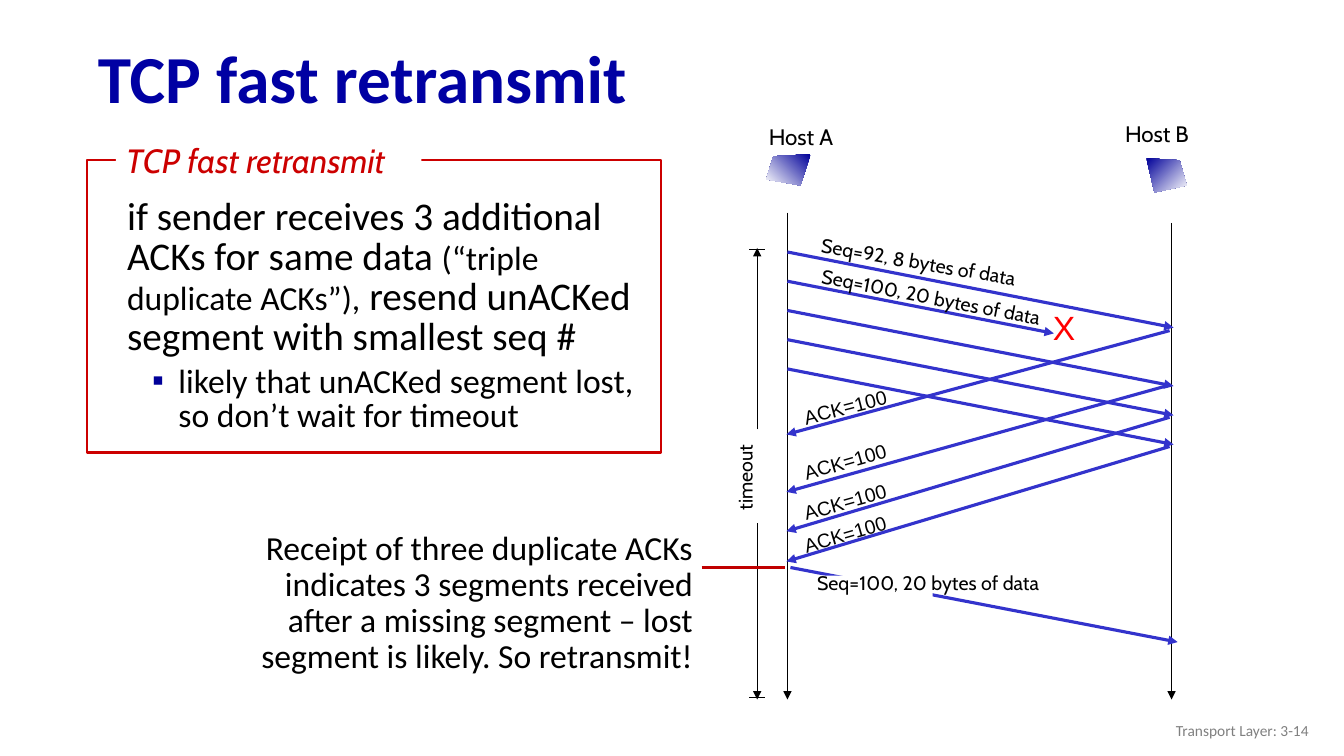
import pptx
import pptx.util
import pptx.dml.color
import pptx.enum.dml
import pptx.enum.shapes
import pptx.enum.text
from lxml import etree

Inches, Pt = pptx.util.Inches, pptx.util.Pt
ALIGN = pptx.enum.text.PP_ALIGN
ANCHOR = pptx.enum.text.MSO_ANCHOR
RECTANGLE = pptx.enum.shapes.MSO_SHAPE.RECTANGLE
STRAIGHT = pptx.enum.shapes.MSO_CONNECTOR.STRAIGHT

# Content
COLORS = {"title": "0000A3", "ink": "000000", "segment": "3333CC", "lost": "FF0000",
          "frame": "CC0000", "pointer": "C00000", "host": "000099", "paper": "FFFFFF",
          "footer": "808080"}
TITLE = "TCP fast retransmit"
RULE = [("if sender receives 3 additional ACKs for same data ", 28),
        ("(“triple duplicate ACKs”),", 24),
        (" resend unACKed segment with smallest seq #", 28)]
REMARK = "likely that unACKed segment lost, so don’t wait for timeout"
RECEIPT = ("Receipt of three duplicate ACKs indicates 3 segments received after a "
           "missing segment – lost segment is likely. So retransmit!")
FOOTER = "Transport Layer: 3-14"
RESENT = "Seq=100, 20 bytes of data"

# Time runs down between two host lines, in inches
HOST_A, HOST_B, TIMER = 7.81, 11.62, 7.51
TIME_END = 6.94
FIRST_SEND, SEND_GAP, SEND_DROP = 2.5, 0.29, 0.75
SENDS, LOST_SEND = 5, 1
LOST_SHARE = 0.69
ACK_TEXT = "ACK=100"
# sent at B, received at A, label top, label rotation
ACKS = [(3.28, 4.31, 3.87, -14.4), (3.82, 4.88, 4.41, -16.1),
        (4.14, 5.27, 4.81, -15.7), (4.43, 5.57, 5.13, -16.2)]
# text, box, rotation
SEND_LABELS = [("Seq=92, 8 bytes of data", (7.95, 2.43, 2.32, 0.34), 9.7),
               ("Seq=100, 20 bytes of data", (7.97, 2.78, 2.53, 0.34), 11.1)]
# name, label box, outline of the marker, gradient angle
HOSTS = [("Host A", (7.36, 1.17, 1.17, 0.43),
          [(8.04, 1.53), (7.67, 1.55), (7.6, 1.78), (7.94, 1.84)], 225),
         ("Host B", (10.89, 1.14, 1.17, 0.43),
          [(11.37, 1.57), (11.7, 1.59), (11.77, 1.84), (11.45, 1.91)], 315)]

deck = pptx.Presentation()
deck.slide_width, deck.slide_height = Inches(13.33), Inches(7.5)
slide = deck.slides.add_slide(deck.slide_layouts[1])
shapes = slide.shapes


def rgb(name):
    return pptx.dml.color.RGBColor.from_string(COLORS[name])


def place(item, box):
    item.left, item.top, item.width, item.height = map(Inches, box)


def style(paragraph, face, size, color="ink", align=ALIGN.LEFT, spacing=None):
    paragraph.alignment = align
    if spacing:
        paragraph.line_spacing = spacing
    font = paragraph.font
    font.name, font.color.rgb = face, rgb(color)
    if size:
        font.size = Pt(size)
    return font


def label(text, box, face, size, color="ink", align=ALIGN.CENTER, spacing=None,
          rotation=0, wrap=False):
    item = shapes.add_textbox(*map(Inches, box))
    item.rotation = rotation
    item.text_frame.word_wrap = wrap
    item.text_frame.text = text
    style(item.text_frame.paragraphs[0], face, size, color, align, spacing)
    return item


def line(start, end, color="ink", width=0.75, arrow=True):
    item = shapes.add_connector(STRAIGHT, *map(Inches, start + end))
    item.line.color.rgb, item.line.width = rgb(color), Pt(width)
    if arrow:
        etree.SubElement(item.line._get_or_add_ln(), pptx.oxml.ns.qn("a:tailEnd"),
                         type="triangle")
    etree.SubElement(item._element.spPr, pptx.oxml.ns.qn("a:effectLst"))


def rectangle(box, fill=None, border=None):
    item = shapes.add_shape(RECTANGLE, *map(Inches, box))
    item.shadow.inherit = False
    if fill:
        item.fill.solid()
        item.fill.fore_color.rgb = rgb(fill)
    else:
        item.fill.background()
    if border:
        item.line.color.rgb, item.line.width = rgb(border), Pt(1.5)
    else:
        item.line.fill.background()
    return item


# Title
title = shapes.title
place(title, (0.87, 0.32, 12.46, 0.98))
title.text_frame.text = TITLE
title.text_frame.vertical_anchor = ANCHOR.MIDDLE
style(title.text_frame.paragraphs[0], "Calibri", 48, "title", spacing=0.9).bold = True

# Framed rule
rule = slide.placeholders[1]
place(rule, (1.16, 1.92, 5.26, 2.48))
rule.text_frame.auto_size = pptx.enum.text.MSO_AUTO_SIZE.NONE
statement = rule.text_frame.paragraphs[0]
for text, size in RULE:
    run = statement.add_run()
    run.text, run.font.size = text, Pt(size)
remark = rule.text_frame.add_paragraph()
remark.text, remark.level = REMARK, 1
for paragraph, margin, indent in ((statement, 0, 0), (remark, 0.51, -0.26)):
    props = paragraph._p.get_or_add_pPr()
    props.set("marL", str(Inches(margin)))
    props.set("indent", str(Inches(indent)))
    if paragraph is statement:
        etree.SubElement(props, pptx.oxml.ns.qn("a:buNone"))
    else:
        bullet_color = etree.SubElement(props, pptx.oxml.ns.qn("a:buClr"))
        etree.SubElement(bullet_color, pptx.oxml.ns.qn("a:srgbClr"), val=COLORS["host"])
        etree.SubElement(props, pptx.oxml.ns.qn("a:buFont"), typeface="Arial")
        etree.SubElement(props, pptx.oxml.ns.qn("a:buChar"), char="▪")
statement.space_before, remark.space_before = Pt(0), Pt(5)
style(statement, "Calibri", None, spacing=0.85)
style(remark, "Calibri", 24, spacing=0.85)

rectangle((0.86, 1.59, 5.7, 2.9), border="frame")
caption = rectangle((1.15, 1.34, 3.03, 0.5), fill="paper")
caption.text_frame.text = TITLE
caption.text_frame.word_wrap = False
caption.text_frame.vertical_anchor = ANCHOR.TOP
style(caption.text_frame.paragraphs[0], "Cabin", 24, "frame").italic = True

# Hosts and their time lines
for name, box, outline, angle in HOSTS:
    label(name, box, "Cabin", 16)
    points = [(Inches(x), Inches(y)) for x, y in outline]
    builder = shapes.build_freeform(*points[0])
    builder.add_line_segments(points[1:], close=True)
    marker = builder.convert_to_shape()
    marker.shadow.inherit = False
    marker.line.fill.background()
    marker.fill.gradient()
    marker.fill.gradient_angle = angle
    for stop, color in zip(marker.fill.gradient_stops, ("host", "paper")):
        stop.color.rgb = rgb(color)
line((HOST_A, 2.11), (HOST_A, TIME_END))
line((HOST_B, 2.21), (HOST_B, TIME_END))

# Timeout span
for start, end, bar in ((4.26, 2.46, 2.48), (5.19, TIME_END, 6.92)):
    line((TIMER, start), (TIMER, end))
    line((TIMER - 0.08, bar), (TIMER + 0.08, bar), arrow=False)
timeout = label("timeout", (7.22, 4.3, 0.6, 0.87), "Cabin", 14)
timeout.text_frame._txBody.bodyPr.set("vert", "vert270")

# Acknowledgements
for sent, received, top, rotation in ACKS:
    line((HOST_B - 0.02, sent), (HOST_A - 0.01, received), "segment", 2.25)
    label(ACK_TEXT, (7.67, top, 1.44, 0.39), "Arial", 14, rotation=rotation)

# Segments
for number in range(SENDS):
    share = LOST_SHARE if number == LOST_SEND else 1
    top = FIRST_SEND + number * SEND_GAP
    reach = (HOST_B + 0.02 - HOST_A) * share
    line((HOST_A, top), (HOST_A + reach, top + SEND_DROP * share), "segment", 2.25)
label("X", (10.34, 3, 0.43, 0.58), "Arial", 24, "lost", wrap=True)
for text, box, rotation in SEND_LABELS:
    label(text, box, "Cabin", 14, rotation=rotation, wrap=True)

# Retransmission
line((HOST_A + 0.03, 5.63), (HOST_B + 0.06, 6.37), "segment", 2.25)
rectangle((8.1, 5.71, 1.15, 0.29), fill="paper")
label(RESENT, (7.48, 5.61, 3.45, 0.39), "Cabin", 14)
label(RECEIPT, (2.44, 5.22, 4.53, 1.56), "Calibri", 24, align=ALIGN.RIGHT,
      spacing=0.9, wrap=True)
line((6.96, 5.63), (7.79, 5.63), "pointer", 1.75, arrow=False)

# Footer
footer = label(FOOTER, (10.08, 7.05, 3, 0.4), "Calibri", 11, "footer", ALIGN.RIGHT, wrap=True)
footer.text_frame.vertical_anchor = ANCHOR.MIDDLE

deck.save("out.pptx")
